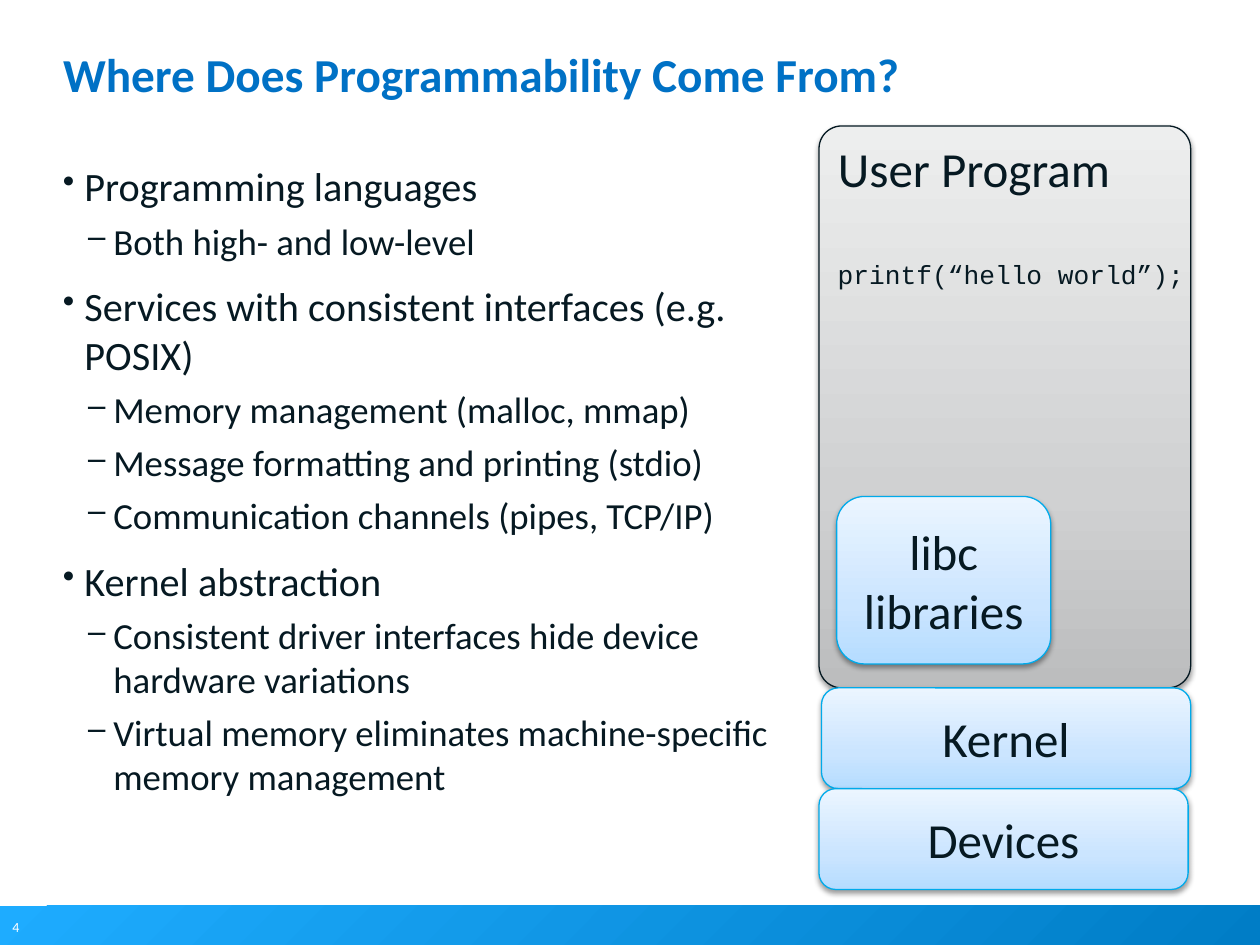
import pptx
import pptx.dml.color
import pptx.enum.shapes
import pptx.enum.text
import pptx.oxml
import pptx.oxml.ns
import pptx.util

Inches = pptx.util.Inches
Pt = pptx.util.Pt
RGBColor = pptx.dml.color.RGBColor
SHAPE = pptx.enum.shapes.MSO_SHAPE
ALIGN = pptx.enum.text.PP_ALIGN
ANCHOR = pptx.enum.text.MSO_ANCHOR

INK = RGBColor(0x06, 0x19, 0x22)
TITLE_BLUE = RGBColor(0x00, 0x71, 0xC5)
WHITE = RGBColor(0xFF, 0xFF, 0xFF)
BLUE_LINE = RGBColor(0x00, 0xAA, 0xEA)
DARK_LINE = RGBColor(0x05, 0x19, 0x22)


def stops(*pairs):
    return [(pos, RGBColor.from_string(color)) for pos, color in pairs]


BLUE_FILL = stops((0, "B5DCFF"), (35, "CBE5FF"), (100, "EBF5FF"))
GRAY_FILL = stops((0, "BCBDBE"), (35, "D0D1D2"), (100, "EDEEEE"))
FOOTER_FILL = stops((0, "1EACFF"), (100, "007DC6"))

# Outline level: (text size, left margin, space before, bullet)
LEVELS = [(23, 0.17, 11, "•"), (21, 0.4, 5, "–")]

OUTLINE = [
    (0, "Programming languages"),
    (1, "Both high- and low-level"),
    (0, "Services with consistent interfaces (e.g. POSIX)"),
    (1, "Memory management (malloc, mmap)"),
    (1, "Message formatting and printing (stdio)"),
    (1, "Communication channels (pipes, TCP/IP)"),
    (0, "Kernel abstraction"),
    (1, "Consistent driver interfaces hide device hardware variations"),
    (1, "Virtual memory eliminates machine-specific memory management"),
]


def xml(markup):
    """Parse one DrawingML element written with the a: prefix."""
    head, mark, rest = markup.partition(">")
    if head.endswith("/"):
        head, mark = head[:-1], "/>"
    return pptx.oxml.parse_xml(f'{head} {pptx.oxml.ns.nsdecls("a")}{mark}{rest}')


def write(p, text, size=28, color=INK, font="Calibri", bold=False, align=ALIGN.LEFT):
    p.alignment = align
    r = p.add_run()
    r.text = text
    r.font.name = font
    r.font.size = Pt(size)
    r.font.bold = bold
    r.font.color.rgb = color


class SlideBuilder:
    def __init__(self, prs):
        self.s = prs.slides.add_slide(prs.slide_layouts[5])

    def frame(self, sp, inset=None, anchor=ANCHOR.TOP, wrap=True):
        tf = sp.text_frame
        tf.word_wrap = wrap
        tf.vertical_anchor = anchor
        if inset is not None:
            tf.margin_left = tf.margin_right = Inches(inset)
            tf.margin_top = tf.margin_bottom = Inches(inset)
        return tf

    def title(self, text, box):
        sp = self.s.shapes.title
        sp.left, sp.top, sp.width, sp.height = map(Inches, box)
        p = self.frame(sp, inset=0).paragraphs[0]
        p.line_spacing = Pt(26)
        write(p, text, size=27, color=TITLE_BLUE, bold=True)

    def text(self, text, box, wrap=True, **style):
        sp = self.s.shapes.add_textbox(*map(Inches, box))
        write(self.frame(sp, wrap=wrap).paragraphs[0], text, **style)

    def gradient(self, sp, colors, angle):
        sp.fill.gradient()
        sp.fill.gradient_angle = angle
        gs_list = sp._element.spPr.find(".//" + pptx.oxml.ns.qn("a:gsLst"))
        for gs in list(gs_list):
            gs_list.remove(gs)
        for pos, color in colors:
            gs_list.append(xml(f'<a:gs pos="{pos * 1000}"><a:srgbClr val="{color}"/></a:gs>'))

    def bar(self, box, colors):
        sp = self.s.shapes.add_shape(SHAPE.RECTANGLE, *map(Inches, box))
        sp.shadow.inherit = False
        sp.line.fill.background()
        self.gradient(sp, colors, angle=315)

    def block(self, text, box, colors=BLUE_FILL, line=BLUE_LINE, radius=0.1667,
              anchor=ANCHOR.MIDDLE, align=ALIGN.CENTER):
        sp = self.s.shapes.add_shape(SHAPE.ROUNDED_RECTANGLE, *map(Inches, box))
        sp.adjustments[0] = radius
        self.gradient(sp, colors, angle=90)
        sp.line.color.rgb = line
        sp.line.width = Pt(0.75)
        # Soft drop shadow
        sp._element.spPr.append(xml(
            f'<a:effectLst><a:outerShdw blurRad="{Pt(3.1)}" dist="{Pt(1.6)}" dir="5400000" '
            'rotWithShape="0"><a:srgbClr val="000000"><a:alpha val="38000"/></a:srgbClr>'
            '</a:outerShdw></a:effectLst>'))
        write(self.frame(sp, anchor=anchor).paragraphs[0], text, align=align)

    def outline(self, items, box):
        tf = self.frame(self.s.shapes.add_textbox(*map(Inches, box)), inset=0)
        for i, (level, text) in enumerate(items):
            p = tf.add_paragraph() if i else tf.paragraphs[0]
            size, margin, before, bullet = LEVELS[level]
            p.level = level
            p.space_before = Pt(before)
            write(p, text, size=size)
            pPr = p._p.get_or_add_pPr()
            pPr.set("marL", str(Inches(margin)))
            pPr.set("indent", str(Inches(-0.2 if level else -0.17)))
            pPr.append(xml(f'<a:buClr><a:srgbClr val="{INK}"/></a:buClr>'))
            pPr.append(xml('<a:buSzPct val="85000"/>'))
            pPr.append(xml(f'<a:buChar char="{bullet}"/>'))


def main():
    prs = pptx.Presentation()
    prs.slide_width, prs.slide_height = Inches(10), Inches(7.5)
    slide = SlideBuilder(prs)

    # Footer bar with page number
    slide.bar((0, 7.19, 10, 0.31), FOOTER_FILL)
    slide.text("4", (0, 7.24, 0.31, 0.24), wrap=False, size=8, color=WHITE)

    # Title and outline
    slide.title("Where Does Programmability Come From?", (0.5, 0.45, 9, 0.97))
    slide.outline(OUTLINE, (0.5, 1.28, 5.74, 5.32))

    # Software stack, from the program down to the devices
    slide.block("User Program", (6.5, 1, 2.95, 4.46), GRAY_FILL, DARK_LINE, radius=0.061,
                anchor=ANCHOR.TOP, align=ALIGN.LEFT)
    slide.block("libc libraries", (6.64, 3.94, 1.7, 1.33))
    slide.block("Kernel", (6.52, 5.46, 2.93, 0.8))
    slide.block("Devices", (6.5, 6.26, 2.93, 0.8))
    slide.text("printf(“hello world”);", (6.55, 2, 3.45, 0.35), size=15, font="Courier New")

    prs.save("out.pptx")


if __name__ == "__main__":
    main()
